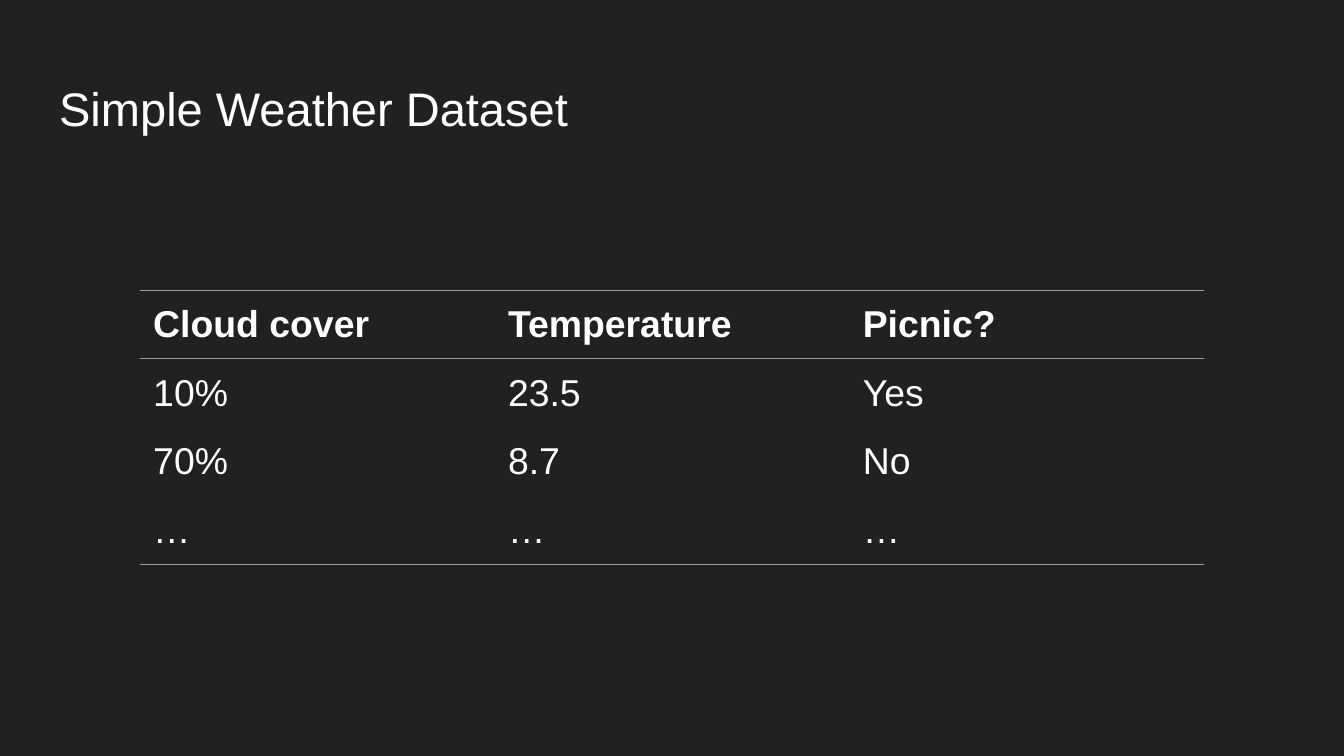
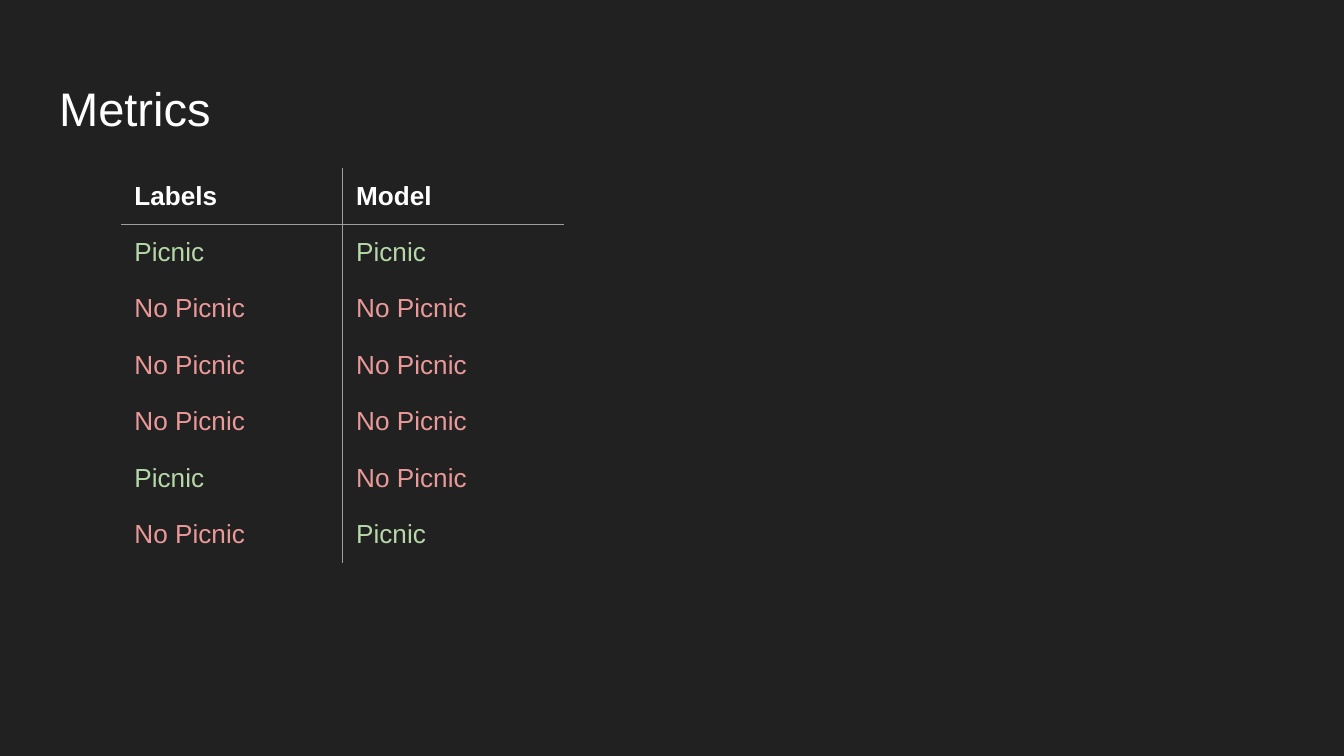
from lxml import etree
from pptx import Presentation
from pptx.dml.color import RGBColor
from pptx.enum.text import MSO_ANCHOR, MSO_AUTO_SIZE, PP_ALIGN
from pptx.oxml.ns import qn
from pptx.util import Pt

MIDDLE, NO_FIT, LEFT = MSO_ANCHOR.MIDDLE, MSO_AUTO_SIZE.NONE, PP_ALIGN.LEFT
PX = 4572  # 200 px to the inch
FONT = "Arial"
COLORS = {"bg": "212121", "text": "FFFFFF", "rule": "9E9E9E",
          "picnic": "B6D7A8", "no picnic": "EA9999"}
INSET = 20 * PX
MARGINS = {"margin_left": INSET, "margin_right": INSET,
           "margin_top": INSET, "margin_bottom": INSET}
TITLE_BOX = {"left": 68 * PX, "top": 98 * PX, "width": 1864 * PX, "height": 126 * PX}
TITLE_FRAME = {**MARGINS, "vertical_anchor": MIDDLE, "auto_size": NO_FIT, "word_wrap": True}
TABLE_FLAGS = {"first_row": False, "horz_banding": False}
ROW_H = 84
RULE_W = Pt(0.75)

# Horizontal and vertical rules are numbered by the grid line they follow
SLIDES = [
    {"title": "Simple Weather Dataset", "at": (208, 432), "col_w": 528, "size": 20,
     "h_rules": (0, 1, 4), "v_rules": (),
     "rows": [("Cloud cover", "Temperature", "Picnic?"),
              ("10%", "23.5", "Yes"),
              ("70%", "8.7", "No"),
              ("…", "…", "…")]},
    {"title": "Metrics", "at": (180, 250), "col_w": 330, "size": 14,
     "h_rules": (1,), "v_rules": (1,),
     "rows": [("Labels", "Model"),
              ("Picnic", "Picnic"),
              ("No Picnic", "No Picnic"),
              ("No Picnic", "No Picnic"),
              ("No Picnic", "No Picnic"),
              ("Picnic", "No Picnic"),
              ("No Picnic", "Picnic")]},
]


def write(tf, text, size, color, bold=False):
    p = tf.paragraphs[0]
    p.alignment = LEFT
    r = p.add_run()
    r.text = text
    for name, value in {"name": FONT, "size": Pt(size), "bold": bold}.items():
        setattr(r.font, name, value)
    r.font.color.rgb = RGBColor.from_string(COLORS[color])


def set_borders(cell, edges):
    tcPr = cell._tc.get_or_add_tcPr()
    for tag, ruled in edges.items():
        ln = etree.SubElement(tcPr, qn(f"a:{tag}"), w=str(RULE_W))
        if ruled:
            fill = etree.SubElement(ln, qn("a:solidFill"))
            etree.SubElement(fill, qn("a:srgbClr"), val=COLORS["rule"])
        else:
            etree.SubElement(ln, qn("a:noFill"))


prs = Presentation()
prs.slide_width, prs.slide_height = 2000 * PX, 1125 * PX

# Shared dark background
fill = prs.slide_master.background.fill
fill.solid()
fill.fore_color.rgb = RGBColor.from_string(COLORS["bg"])

for spec_row in SLIDES:
    s = prs.slides.add_slide(prs.slide_layouts[5])

    # Title
    sp = s.shapes.title
    for name, value in TITLE_BOX.items():
        setattr(sp, name, value)
    for name, value in TITLE_FRAME.items():
        setattr(sp.text_frame, name, value)
    write(sp.text_frame, spec_row["title"], 25.2, "text")

    # Table
    rows, (left, top) = spec_row["rows"], spec_row["at"]
    h_rules, v_rules = spec_row["h_rules"], spec_row["v_rules"]
    n_rows, n_cols = len(rows), len(rows[0])
    table = s.shapes.add_table(n_rows, n_cols, left * PX, top * PX,
                               n_cols * spec_row["col_w"] * PX, n_rows * ROW_H * PX).table
    for name, value in TABLE_FLAGS.items():
        setattr(table, name, value)

    # Cells
    for i, row in enumerate(rows):
        for j, text in enumerate(row):
            cell = table.cell(i, j)
            set_borders(cell, {"lnL": j in v_rules, "lnR": j + 1 in v_rules,
                               "lnT": i in h_rules, "lnB": i + 1 in h_rules})
            cell.fill.background()
            for name, value in MARGINS.items():
                setattr(cell, name, value)
            color = text.lower() if text.lower() in COLORS else "text"
            write(cell.text_frame, text, spec_row["size"], color, bold=i == 0)

prs.save("out.pptx")
